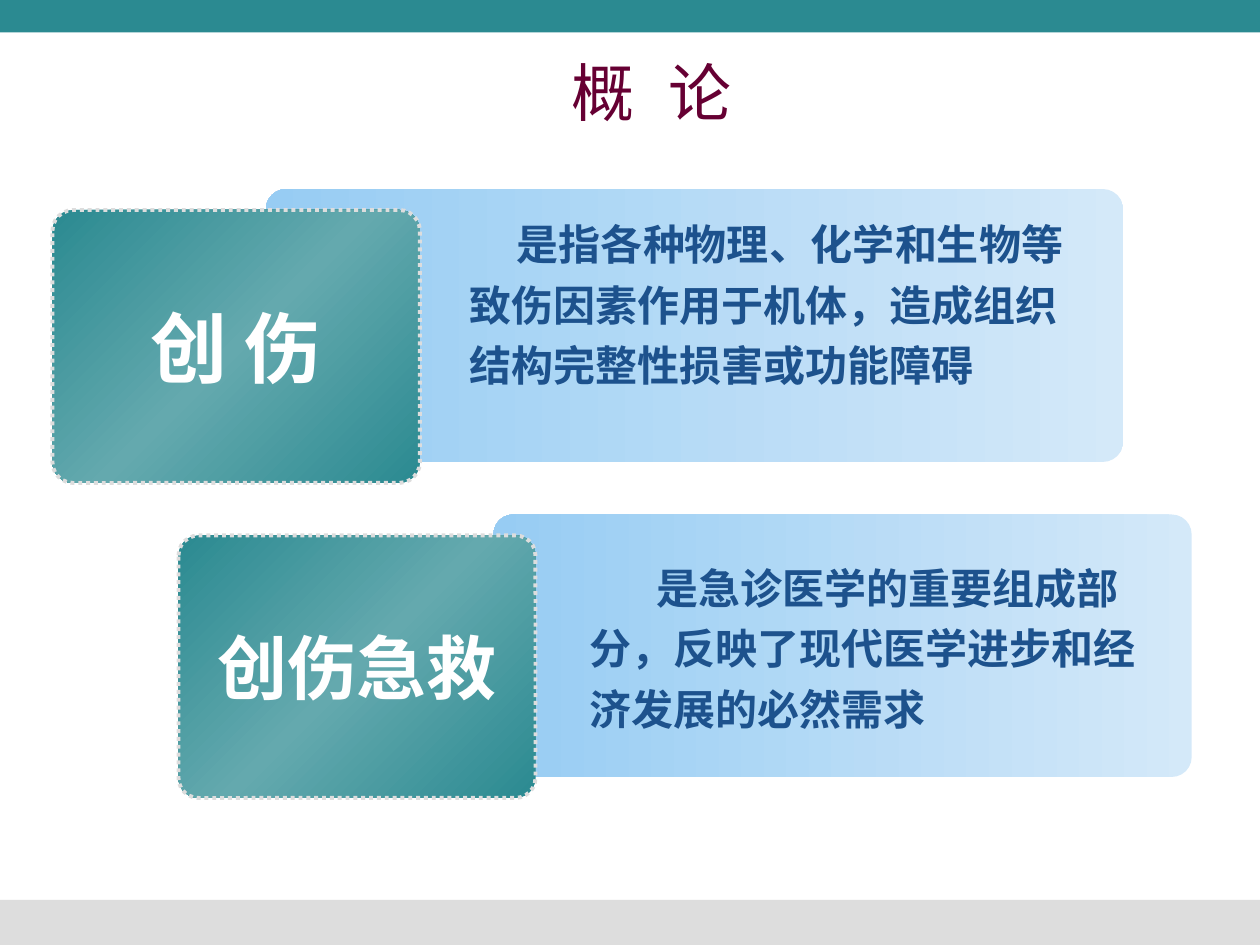
"""Build a slide that defines trauma and trauma first aid with two overlapping card pairs."""
import copy
from dataclasses import dataclass

import pptx
import pptx.dml.color
import pptx.enum.dml
import pptx.enum.shapes
import pptx.enum.text
import pptx.oxml.ns
import pptx.util

COLORS = {
    "teal": "2B8A91",
    "light_teal": "64A9AE",
    "gray": "DDDDDD",
    "pale_blue": "D4E9F9",
    "sky_blue": "97CCF3",
    "navy": "1D528D",
    "maroon": "660033",
    "white": "FFFFFF",
}
CELL = pptx.util.Inches(1 / 12)
CORNER = 0.076
SHAPES = pptx.enum.shapes.MSO_SHAPE
CENTER = pptx.enum.text.PP_ALIGN.CENTER
LEFT = pptx.enum.text.PP_ALIGN.LEFT


@dataclass(frozen=True)
class Area:
    column: float
    row: float
    columns: float
    rows: float

    def lengths(self) -> list[int]:
        return [round(n * CELL) for n in (self.column, self.row, self.columns, self.rows)]


@dataclass(frozen=True)
class Topic:
    label: str
    label_size: int
    label_font: str
    card: Area
    panel: Area
    definition: str
    definition_area: Area
    indent: float


@dataclass(frozen=True)
class Band:
    area: Area
    color: str


BANDS = [
    Band(Area(0, 85.7, 120, 4.3), "gray"),
    Band(Area(0, 0, 120, 3.1), "teal"),
]
TOPICS = [
    Topic("创 伤", 44, "Noto Sans CJK SC", Area(5, 20, 35, 26), Area(25.3, 18, 81.7, 26),
          "是指各种物理、化学和生物等致伤因素作用于机体，造成组织结构完整性损害或功能障碍",
          Area(43.5, 19.3, 60.5, 18.5), 0.38),
    Topic("创伤急救", 40, "Arial", Area(17, 51, 34, 25), Area(47, 49, 66.5, 25),
          "是急诊医学的重要组成部分，反映了现代医学进步和经济发展的必然需求",
          Area(55, 52, 56.2, 18.5), 0.53),
]


def rgb(name: str) -> pptx.dml.color.RGBColor:
    return pptx.dml.color.RGBColor.from_string(COLORS[name])


def style(para, size: int, font: str, color: str, bold: bool, align) -> None:
    para.alignment = align
    para.font.size = pptx.util.Pt(size)
    para.font.name = font
    para.font.bold = bold
    para.font.color.rgb = rgb(color)


def add_band(page, band: Band) -> None:
    box = page.shapes.add_shape(SHAPES.RECTANGLE, *band.area.lengths())
    box.shadow.inherit = False
    box.fill.solid()
    box.fill.fore_color.rgb = rgb(band.color)
    box.line.fill.background()


def add_gradient_box(page, area: Area, colors: list[str], angle: float):
    box = page.shapes.add_shape(SHAPES.ROUNDED_RECTANGLE, *area.lengths())
    box.adjustments[0] = CORNER
    box.shadow.inherit = False
    box.fill.gradient()
    box.fill.gradient_angle = angle
    stops = box._element.spPr.find(".//" + pptx.oxml.ns.qn("a:gsLst"))
    while len(stops) < len(colors):
        stops.append(copy.deepcopy(stops[0]))
    for index, (stop, color) in enumerate(zip(box.fill.gradient_stops, colors)):
        stop.position = index / (len(colors) - 1)
        stop.color.rgb = rgb(color)
    return box


def add_panel(page, topic: Topic) -> None:
    box = add_gradient_box(page, topic.panel, ["pale_blue", "sky_blue"], 180)
    box.line.fill.background()


def add_card(page, topic: Topic) -> None:
    box = add_gradient_box(page, topic.card, ["teal", "light_teal", "teal"], 135)
    box.line.color.rgb = rgb("gray")
    box.line.width = pptx.util.Pt(2.25)
    box.line.dash_style = pptx.enum.dml.MSO_LINE.ROUND_DOT
    frame = box.text_frame
    frame.word_wrap = False
    frame.vertical_anchor = pptx.enum.text.MSO_ANCHOR.MIDDLE
    para = frame.paragraphs[0]
    para.add_run().text = topic.label
    style(para, topic.label_size, topic.label_font, "white", True, CENTER)


def add_definition(page, topic: Topic) -> None:
    frame = page.shapes.add_textbox(*topic.definition_area.lengths()).text_frame
    frame.word_wrap = True
    frame.auto_size = pptx.enum.text.MSO_AUTO_SIZE.SHAPE_TO_FIT_TEXT
    para = frame.paragraphs[0]
    para.add_run().text = topic.definition
    para.line_spacing = 1.2
    para._p.get_or_add_pPr().set("indent", str(pptx.util.Inches(topic.indent)))
    style(para, 24, "Arial", "navy", True, LEFT)


def add_title(page) -> None:
    frame = page.shapes.add_textbox(*Area(7, 5, 110, 7.4).lengths()).text_frame
    frame.word_wrap = True
    frame.vertical_anchor = pptx.enum.text.MSO_ANCHOR.MIDDLE
    para = frame.paragraphs[0]
    for text, spacing in (("概 ", 570), ("论", 0)):
        span = para.add_run()
        span.text = text
        span._r.get_or_add_rPr().set("spc", str(spacing))
    style(para, 36, "DejaVu Sans", "maroon", False, CENTER)


def main() -> None:
    deck = pptx.Presentation()
    deck.slide_width = 120 * CELL
    deck.slide_height = 90 * CELL
    page = deck.slides.add_slide(deck.slide_layouts[6])
    for band in BANDS:
        add_band(page, band)
    add_title(page)
    for draw in (add_panel, add_card, add_definition):
        for topic in TOPICS:
            draw(page, topic)
    deck.save("out.pptx")


if __name__ == "__main__":
    main()
